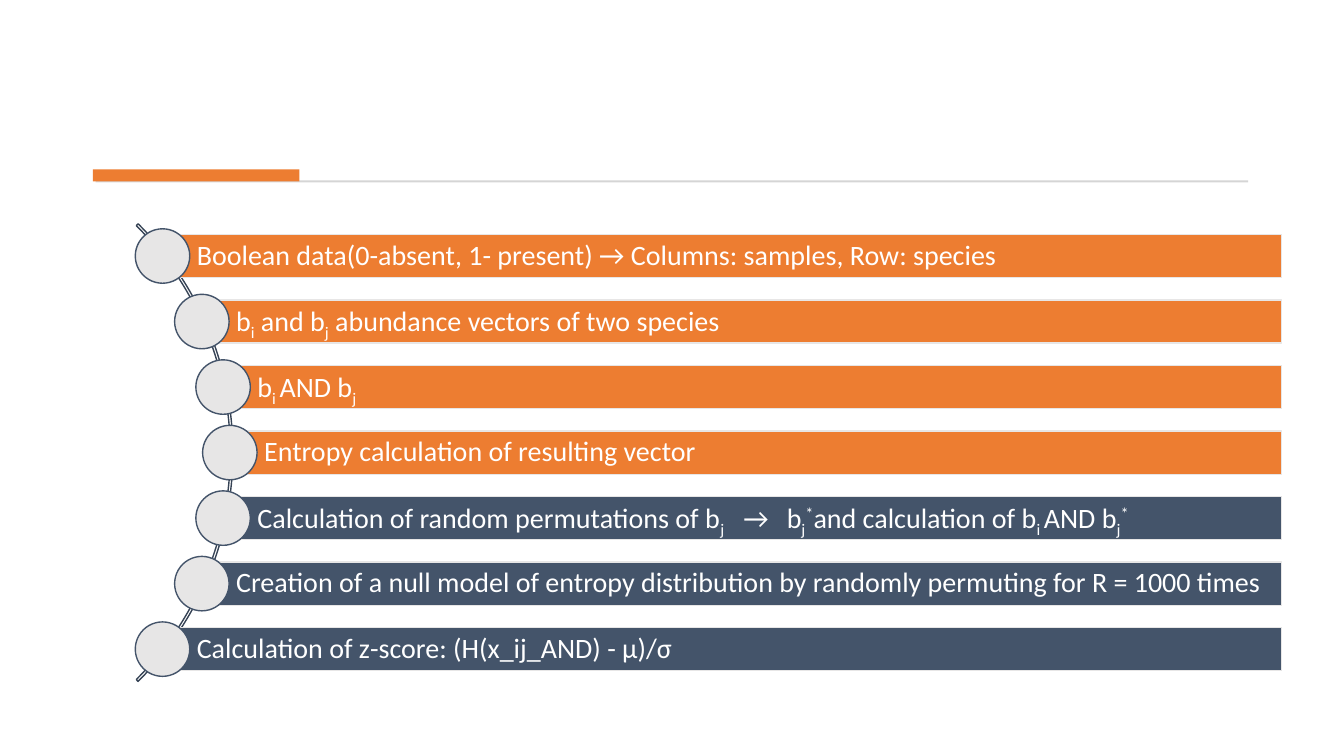
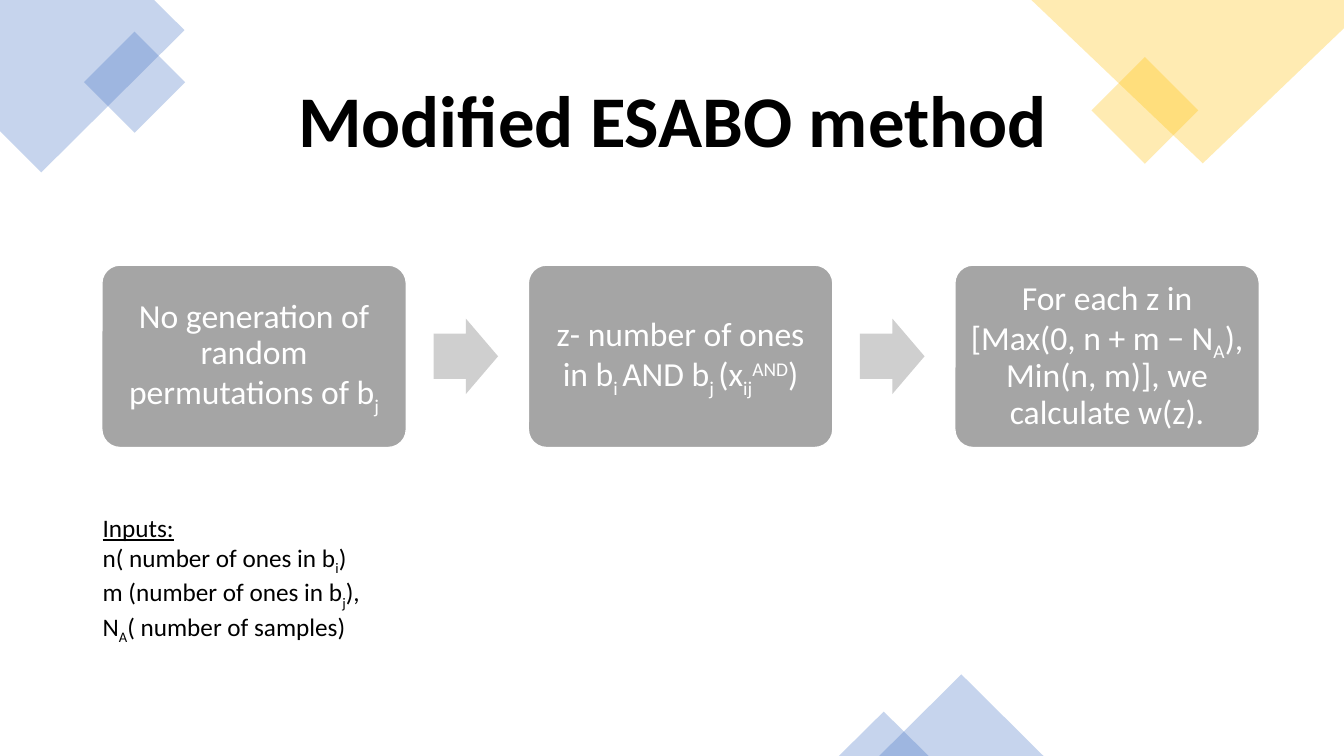
"""Build two slides on the ESABO method: the original steps and the modified flow."""
from math import sqrt

from lxml.etree import SubElement
from pptx import Presentation
from pptx.dml.color import RGBColor
from pptx.enum.shapes import MSO_SHAPE as Shape
from pptx.enum.text import MSO_ANCHOR as Anchor, PP_ALIGN as Align
from pptx.oxml.ns import qn
from pptx.util import Inches, Pt

FONT = "Calibri"
WHITE, BLACK = "FFFFFF", "000000"
ORANGE, NAVY, PALE, ARC_LINE, RULE = "ED7D31", "44546A", "E7E6E6", "364355", "D5D5D5"
BLUE, YELLOW, GRAY, ARROW_GRAY = "4472C4", "FFC000", "A5A5A5", "CFCFCF"
SUB, SUPER = -25000, 30000
TITLE_ONLY, BLANK = 5, 6

B_I, B_J = ["b", ("i", SUB)], ["b", ("j", SUB)]
B_I_AND_B_J = ["b", ("i ", SUB), *["AND b", ("j", SUB)]]

STEPS = [
    (ORANGE, ["Boolean data(0-absent, 1- present) → Columns: samples, Row: species"]),
    (ORANGE, [*B_I, " and ", *B_J, " abundance vectors of two species"]),
    (ORANGE, B_I_AND_B_J),
    (ORANGE, ["Entropy calculation of resulting vector"]),
    (NAVY, ["Calculation of random permutations of ", *B_J, "\t→\t", *B_J, ("*", SUPER),
            "and calculation of ", *B_I_AND_B_J, ("*", SUPER)]),
    (NAVY, ["Creation of a null model of entropy distribution by randomly permuting "
            "for R = 1000 times"]),
    (NAVY, ["Calculation of z-score: (H(x_ij_AND) - μ)/σ"]),
]
STEP_TABS = (4.82, 5.25)

TITLE = "Modified ESABO method"
FLOW = [
    ["No generation of random permutations of ", *B_J],
    ["z- number of ones in ", *B_I_AND_B_J, (" ", SUB), "(x", ("ij", SUB), ("AND", SUPER), ")"],
    ["For each z in [Max(0, n + m − N", ("A", SUB), "), Min(n, m)], we calculate w(z)."],
]
INPUTS_HEADING = "Inputs:"
INPUTS = [
    ["n( number of ones in ", *B_I, ")"],
    ["m (number of ones in ", *B_J, "),"],
    ["N", ("A", SUB), "( number of samples)"],
]

CORNERS = [
    (BLUE, [(1.53, 0), (0, 0), (0, 1.3), (0.41, 1.71), (1.83, 0.3)]),
    (YELLOW, [(13.33, 0), (10.23, 0), (11.93, 1.62), (13.33, 0.28)]),
]
ACCENTS = [
    (Shape.RECTANGLE, BLUE, (0.98, 0.46, 0.71, 0.71), 315),
    (Shape.RECTANGLE, YELLOW, (10.98, 0.72, 0.75, 0.75), 315),
    (Shape.ISOSCELES_TRIANGLE, BLUE, (8.72, 6.69, 1.63, 0.81), 0),
    (Shape.ISOSCELES_TRIANGLE, BLUE, (8.32, 7.06, 0.89, 0.44), 0),
]


def color(value):
    return RGBColor.from_string(value)


def paint(shape, fill=None, line=None, alpha=None):
    shape.shadow.inherit = False
    if fill:
        shape.fill.solid()
        shape.fill.fore_color.rgb = color(fill)
    else:
        shape.fill.background()
    if line:
        shape.line.color.rgb = color(line)
        shape.line.width = Pt(1)
    else:
        shape.line.fill.background()
    if alpha:
        rgb = shape.fill._xPr.find(qn("a:solidFill")).find(qn("a:srgbClr"))
        SubElement(rgb, qn("a:alpha")).set("val", str(alpha * 1000))
    return shape


def add_box(slide, kind, box, fill=None, line=None, alpha=None):
    shape = slide.shapes.add_shape(kind, *map(Inches, box))
    return paint(shape, fill, line, alpha)


def write(paragraph, parts, size, text_color, align=Align.LEFT, spacing=None, tabs=()):
    if tabs:
        tab_list = SubElement(paragraph._p.get_or_add_pPr(), qn("a:tabLst"))
        for position in tabs:
            tab = SubElement(tab_list, qn("a:tab"))
            tab.set("pos", str(Inches(position)))
            tab.set("algn", "l")
    for part in parts:
        text, baseline = (part, 0) if isinstance(part, str) else part
        run = paragraph.add_run()
        run.text = text
        if baseline:
            run._r.get_or_add_rPr().set("baseline", str(baseline))
    paragraph.alignment = align
    if spacing:
        paragraph.line_spacing = spacing
    font = paragraph.font
    font.name, font.size, font.color.rgb = FONT, Pt(size), color(text_color)
    return paragraph


def set_frame(shape, left, other):
    frame = shape.text_frame
    frame.word_wrap = True
    frame.vertical_anchor = Anchor.MIDDLE
    frame.margin_left = Inches(left)
    frame.margin_top = frame.margin_right = frame.margin_bottom = Inches(other)
    return frame


def build_steps(presentation):
    slide = presentation.slides.add_slide(presentation.slide_layouts[BLANK])
    add_box(slide, Shape.RECTANGLE, (0.95, 1.79, 11.43, 0.02), RULE)
    add_box(slide, Shape.RECTANGLE, (0.92, 1.68, 2.05, 0.12), ORANGE)

    center_x, center_y, arc_radius, dot_radius = -0.9, 4.49, 3.21, 3.18
    pitch, bar_height, bar_right, dot = 0.65, 0.43, 12.71, 0.54
    arc = add_box(slide, Shape.BLOCK_ARC,
                  (center_x - arc_radius, center_y - arc_radius, 2 * arc_radius, 2 * arc_radius),
                  line=ARC_LINE)
    for index, value in enumerate((189, 27, 0.004)):
        arc.adjustments[index] = value

    for index, (fill, parts) in enumerate(STEPS):
        offset = (index - (len(STEPS) - 1) / 2) * pitch
        x, y = center_x + sqrt(dot_radius ** 2 - offset ** 2), center_y + offset
        bar = add_box(slide, Shape.RECTANGLE,
                      (x, y - bar_height / 2, bar_right - x, bar_height), fill, PALE)
        tabs = STEP_TABS if any("\t" in part for part in parts) else ()
        write(set_frame(bar, 0.34, 0.06).paragraphs[0], parts, 20, WHITE,
              spacing=0.9, tabs=tabs)
        add_box(slide, Shape.OVAL, (x - dot / 2, y - dot / 2, dot, dot), PALE, NAVY)


def add_decoration(slide):
    for fill, points in CORNERS:
        start, *rest = [tuple(map(Inches, point)) for point in points]
        builder = slide.shapes.build_freeform(*start)
        builder.add_line_segments(rest, close=True)
        paint(builder.convert_to_shape(), fill, alpha=30)
    for kind, fill, box, rotation in ACCENTS:
        add_box(slide, kind, box, fill, alpha=30).rotation = rotation


def build_flow(presentation):
    slide = presentation.slides.add_slide(presentation.slide_layouts[TITLE_ONLY])
    add_decoration(slide)
    title = slide.shapes.title
    title.left, title.top, title.width, title.height = map(Inches, (0.92, 0.61, 11.5, 1.24))
    title.text_frame.vertical_anchor = Anchor.MIDDLE
    write(title.text_frame.paragraphs[0], [TITLE], 52, BLACK, Align.CENTER, 0.9).font.bold = True

    left, top, width, height, pitch = 1.01, 2.63, 3.02, 1.81, 4.23
    arrow_width, arrow_height, arrow_offset = 0.64, 0.75, 3.29
    for index, parts in enumerate(FLOW):
        x = left + index * pitch
        box = add_box(slide, Shape.ROUNDED_RECTANGLE, (x, top, width, height), GRAY, WHITE)
        box.adjustments[0] = 0.1
        write(set_frame(box, 0.1, 0.1).paragraphs[0], parts, 24, WHITE, Align.CENTER, 0.9)
        if index < len(FLOW) - 1:
            arrow = add_box(slide, Shape.RIGHT_ARROW,
                            (x + arrow_offset, top + (height - arrow_height) / 2,
                             arrow_width, arrow_height), ARROW_GRAY)
            arrow.adjustments[0] = 0.6

    frame = slide.shapes.add_textbox(*map(Inches, (0.92, 5.03, 6.67, 1.31))).text_frame
    frame.word_wrap = True
    write(frame.paragraphs[0], [INPUTS_HEADING], 18, BLACK).font.underline = True
    for parts in INPUTS:
        write(frame.add_paragraph(), parts, 18, BLACK)


def main():
    presentation = Presentation()
    presentation.slide_width, presentation.slide_height = Inches(13.33), Inches(7.5)
    build_steps(presentation)
    build_flow(presentation)
    presentation.save("out.pptx")


if __name__ == "__main__":
    main()
